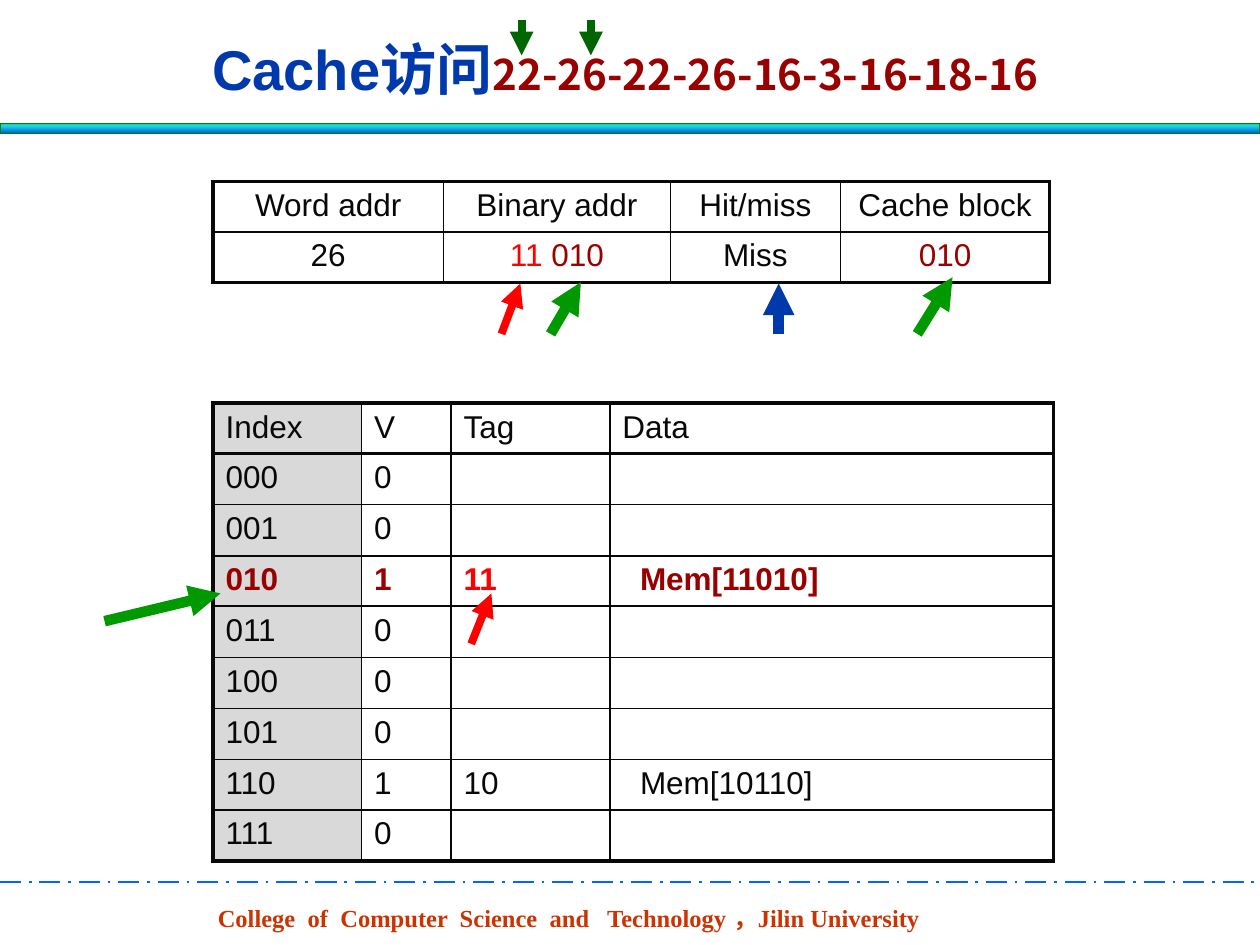
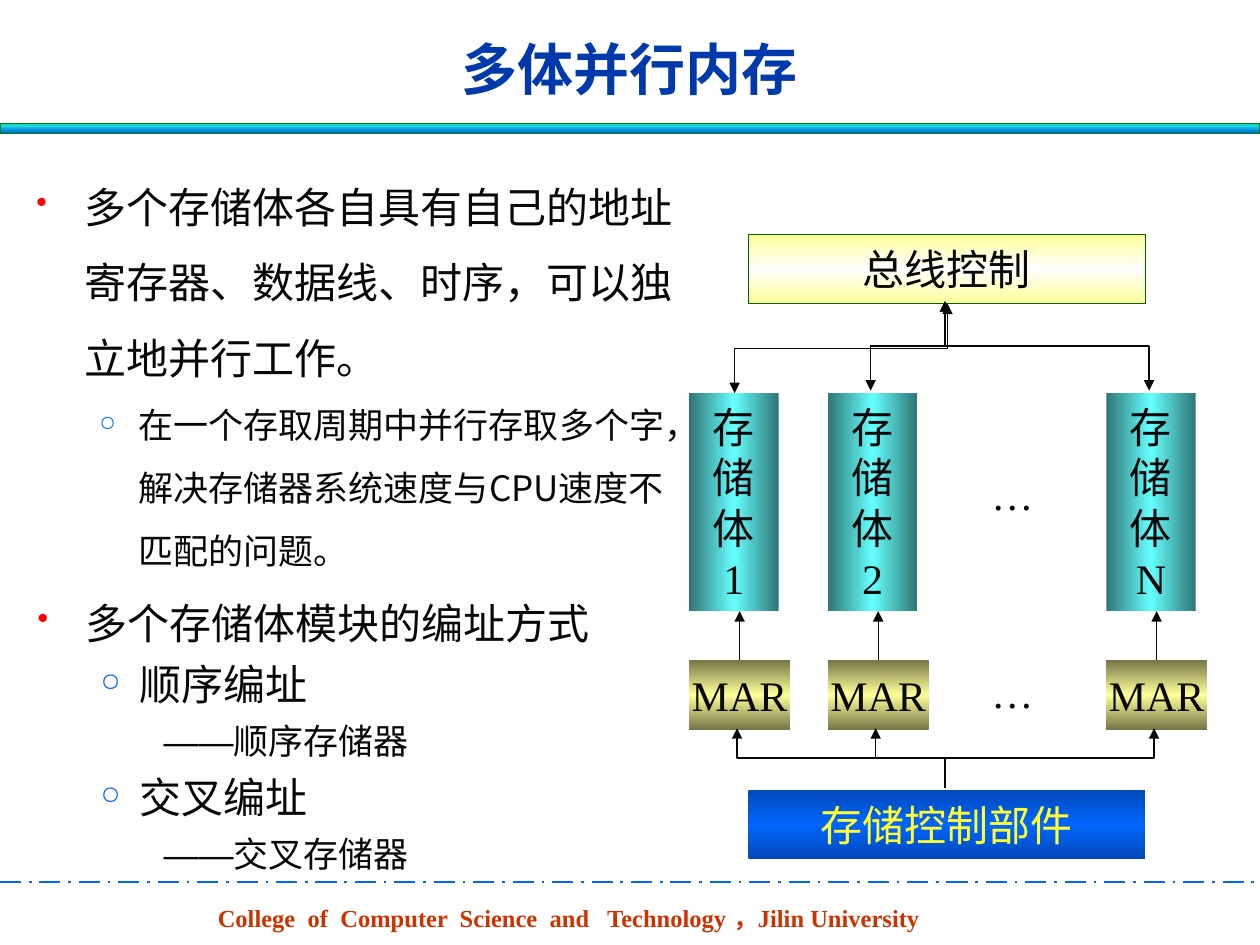
"""Builds two slides on cache access and parallel memory banks."""
import pptx
import pptx.util
import pptx.dml.color
import pptx.enum.dml
import pptx.enum.shapes
import pptx.enum.text
import pptx.oxml.ns
import lxml.etree


class Theme:
    black, blue, red, wine = "080808", "0039AC", "FF0000", "990000"
    green, dark, sky, rust = "009900", "006600", "0066FF", "CC3300"
    edge, grey, yellow = "008000", "D9D9D9", "FFFF33"
    band = ((0, "03D4A8"), (25, "21D6E0"), (75, "0087E6"), (100, "005CBF"))
    cream = ((0, "FFFF99"), (50, "FFFFFF"), (100, "FFFF99"))
    teal = ((0, "2F7676"), (50, "66FFFF"), (100, "2F7676"))
    olive = ((0, "767647"), (50, "FFFF99"), (100, "767647"))
    navy = ((0, "0049B6"), (50, "0066FF"), (100, "0049B6"))
    sans, serif, han = "Arial", "Times New Roman", "Noto Sans CJK SC"
    title, large, body, cell, foot = 32, 24, 20, 18, 14


SCALE = 9144
Pt = pptx.util.Pt
qn = pptx.oxml.ns.qn
rgb = pptx.dml.color.RGBColor.from_string
sub = lxml.etree.SubElement
Align = pptx.enum.text.PP_ALIGN
Kind = pptx.enum.shapes.MSO_CONNECTOR
RECT = pptx.enum.shapes.MSO_SHAPE.RECTANGLE
MIDDLE = pptx.enum.text.MSO_ANCHOR.MIDDLE
TAIL = ("a:tailEnd",)
BOTH = ("a:headEnd", "a:tailEnd")


def ink(run, size, face, color, bold=False):
    """Format one run, with a Chinese face where it holds Chinese text."""
    run.font.size, run.font.name, run.font.bold = Pt(size), face, bold
    run.font.color.rgb = rgb(color)
    east = Theme.han if any(sign >= "一" for sign in run.text) else face
    sub(run._r.get_or_add_rPr(), qn("a:ea"), typeface=east)


def wire(slide, ends, color, width, tips=TAIL, bent=False):
    """Draw a straight line, or an elbow that leaves upwards."""
    x1, y1, x2, y2 = (n * SCALE for n in ends)
    kind = Kind.STRAIGHT
    if bent:
        kind = Kind.ELBOW
        midx, midy = (x1 + x2) // 2, (y1 + y2) // 2
        wide, high = abs(x2 - x1) // 2, abs(y2 - y1) // 2
        right = x2 > x1
        x1, y1, x2, y2 = midx - high, midy - wide, midx + high, midy + wide
    line = slide.shapes.add_connector(kind, x1, y1, x2, y2)
    props = line.element.spPr
    if bent:
        frame = props.find(qn("a:xfrm"))
        frame.set("rot", str((270 if right else 90) * 60000))
        if not right:
            frame.set("flipH", "1")
    line.line.color.rgb = rgb(color)
    line.line.width = Pt(width)
    for tip in tips:
        sub(props.find(qn("a:ln")), qn(tip), type="triangle")
    sub(props, qn("a:effectLst"))
    return line


deck = pptx.Presentation()
deck.slide_width, deck.slide_height = 1000 * SCALE, 750 * SCALE
plan = deck.slide_layouts[5]
cache, banks = [deck.slides.add_slide(plan) for _ in range(2)]

heads = (
    (cache, (("Cache访问", Theme.title, Theme.sans, Theme.blue),
             ("22-26-22-26-16-3-16-18-16 ", Theme.large, Theme.han, Theme.wine))),
    (banks, (("多体并行内存", Theme.title, Theme.sans, Theme.blue),)),
)
for slide, parts in heads:
    title = slide.shapes.title
    title.left, title.top = 114 * SCALE, 21 * SCALE
    title.width, title.height = 772 * SCALE, 66 * SCALE
    frame = title.text_frame
    frame.auto_size = pptx.enum.text.MSO_AUTO_SIZE.NONE
    frame.vertical_anchor = MIDDLE
    para = frame.paragraphs[0]
    para.alignment = Align.CENTER
    for text, size, face, color in parts:
        run = para.add_run()
        run.text = text
        ink(run, size, face, color, True)

posts = (547, 657, 878)
boxes = [
    (cache, 0, 98, 1000, 8, Theme.band, 90, Theme.edge, "", Theme.black),
    (banks, 594, 186, 315, 55, Theme.cream, 90, Theme.dark, "总线控制", Theme.black),
    (banks, 594, 627, 315, 55, Theme.navy, 90, None, "存储控制部件", Theme.yellow),
]
for left, mark in zip(posts, "12N"):
    boxes.append((banks, left, 312, 71, 173, Theme.teal, 0, None,
                  "\n".join("存储体" + mark), Theme.black))
for left in posts:
    boxes.append((banks, left, 524, 80, 55, Theme.olive, 90, None, "MAR", Theme.black))

made = []
for slide, left, top, wide, high, stops, angle, edge, text, color in boxes:
    box = slide.shapes.add_shape(RECT, *(n * SCALE for n in (left, top, wide, high)))
    box.shadow.inherit = False
    box.fill.gradient()
    grad = box.element.spPr.find(qn("a:gradFill"))
    ramp = grad.find(qn("a:gsLst"))
    ramp.clear()
    for spot, tone in stops:
        stop = sub(ramp, qn("a:gs"), pos=str(spot * 1000))
        sub(stop, qn("a:srgbClr"), val=tone)
    grad.find(qn("a:lin")).set("ang", str(angle * 60000))
    if edge:
        box.line.color.rgb = rgb(edge)
        box.line.width = Pt(0.75)
    else:
        box.line.fill.background()
    frame = box.text_frame
    frame.word_wrap = False
    frame.vertical_anchor = MIDDLE
    frame.text = text
    for para in frame.paragraphs:
        para.alignment = Align.CENTER
        for run in para.runs:
            ink(run, Theme.large, Theme.serif, color)
    made.append(box)

rule = wire(cache, (0, 700, 1000, 700), Theme.sky, 1.5, ())
rule.line.dash_style = pptx.enum.dml.MSO_LINE.LONG_DASH_DOT

school = "College  of  Computer  Science  and   Technology ，Jilin University"
notes = (
    (cache, 163, 712, 592, 33, school, Theme.foot, Theme.rust, True, Align.LEFT),
    (banks, 760, 367, 87, 50, "…", Theme.large, Theme.black, False, Align.CENTER),
    (banks, 760, 524, 87, 50, "…", Theme.large, Theme.black, False, Align.CENTER),
)
labels = []
for slide, left, top, wide, high, text, size, color, bold, align in notes:
    note = slide.shapes.add_textbox(*(n * SCALE for n in (left, top, wide, high)))
    note.text_frame.word_wrap = True
    note.text_frame.text = text
    para = note.text_frame.paragraphs[0]
    para.alignment = align
    ink(para.runs[0], size, Theme.serif, color, bold)
    labels.append(note)

for part in (labels[0], rule, made[0]):
    plan.shapes.element.append(part.element)

store = [("Index", "V", "Tag", "Data")]
filled = {2: ("1", "11", "Mem[11010]"), 6: ("1", "10", "Mem[10110]")}
for slot in range(8):
    store.append((f"{slot:03b}",) + filled.get(slot, ("0", "", "")))
lookup = (("Word addr", "Binary addr", "Hit/miss", "Cache block"),
          ("26", "11 |010", "Miss", "010"))
grids = (
    (320, (118, 71, 126, 352), store, Align.LEFT, Theme.grey,
     {(3, 0): [Theme.wine], (3, 1): [Theme.wine],
      (3, 2): [Theme.red], (3, 3): [Theme.wine]}),
    (144, (183, 180, 135, 166), lookup, Align.CENTER, None,
     {(1, 1): [Theme.red, Theme.wine], (1, 3): [Theme.wine]}),
)
for top, cols, rows, align, shade, tints in grids:
    table = cache.shapes.add_table(
        len(rows), len(cols), 169 * SCALE, top * SCALE,
        sum(cols) * SCALE, 40 * len(rows) * SCALE).table
    table.first_row = table.horz_banding = False
    for col, wide in zip(table.columns, cols):
        col.width = wide * SCALE
    for r, row in enumerate(rows):
        table.rows[r].height = 40 * SCALE
        for c, text in enumerate(row):
            cell = table.cell(r, c)
            sides = {
                "a:lnL": 1 if c else 2.25,
                "a:lnR": 1 if c < len(cols) - 1 else 2.25,
                "a:lnT": {0: 2.25, 1: 1.5}.get(r, 1),
                "a:lnB": 2.25 if r == len(rows) - 1 else 1 if r else 1.5,
            }
            props = cell._tc.get_or_add_tcPr()
            for side, width in sides.items():
                line = sub(props, qn(side), w=str(int(Pt(width))))
                sub(sub(line, qn("a:solidFill")), qn("a:srgbClr"), val=Theme.black)
            if shade and c == 0:
                cell.fill.solid()
                cell.fill.fore_color.rgb = rgb(shade)
            else:
                cell.fill.background()
            if text.startswith("Mem"):
                cell.margin_left = 24 * SCALE
            first, *rest = text.split("|")
            para = cell.text_frame.paragraphs[0]
            para.text = first
            para.alignment = align
            for piece in rest:
                para.add_run().text = piece
            for run, tint in zip(para.runs, tints.get((r, c), [Theme.black])):
                ink(run, Theme.cell, Theme.sans, tint, row[0] == "010")

for ends, color, width in (
    ((83, 493, 175, 471), Theme.green, 6),
    ((728, 265, 756, 220), Theme.green, 6),
    ((437, 265, 461, 224), Theme.green, 6),
    ((618, 265, 618, 225), Theme.blue, 6),
    ((398, 265, 413, 225), Theme.red, 4.5),
    ((374, 511, 390, 471), Theme.red, 4.5),
    ((469, 16, 469, 44), Theme.dark, 4.5),
    ((414, 16, 414, 44), Theme.dark, 4.5),
):
    wire(cache, ends, color, width)

for ends in ((583, 312, 752, 241), (691, 310, 750, 239), (912, 310, 750, 239)):
    wire(banks, ends, Theme.black, 0.75, BOTH, True)
for left, box in zip(posts, made[-3:]):
    wire(banks, (750, 625, left + 38, 578), Theme.black, 0.75, TAIL, True)
    rise = wire(banks, (left + 40, 524, left + 40, 485), Theme.black, 0.75)
    rise.begin_connect(box, 0)

steps = (
    (38, -38, "•", Theme.red, 75),
    (81, -31, "○", Theme.sky, 60),
    (125, -25, None, None, None),
)
lists = (
    ((19, 119, 530, 264), 1.5, 0, (
        (0, Theme.large, "多个存储体各自具有自己的地址寄存器、数据线、时序，可以独立地并行工作。"),
        (1, Theme.body, "在一个存取周期中并行存取多个字，解决存储器系统速度与CPU速度不匹配的问题。"))),
    ((20, 469, 484, 228), None, 6, (
        (0, Theme.large, "多个存储体模块的编址方式"),
        (1, Theme.large, "顺序编址"),
        (2, Theme.body, "——|顺序存储器"),
        (1, Theme.large, "交叉编址"),
        (2, Theme.body, "——|交叉存储器"))),
)
for place, space, gap, items in lists:
    frame = banks.shapes.add_textbox(*(n * SCALE for n in place)).text_frame
    frame.word_wrap = True
    for i, (level, size, text) in enumerate(items):
        para = frame.add_paragraph() if i else frame.paragraphs[0]
        first, *rest = text.split("|")
        para.text = first
        for piece in rest:
            para.add_run().text = piece
        para.level = level
        margin, hang, sign, tone, share = steps[level]
        props = para._p.get_or_add_pPr()
        props.set("marL", str(margin * SCALE))
        props.set("indent", str(hang * SCALE))
        if sign:
            sub(sub(props, qn("a:buClr")), qn("a:srgbClr"), val=tone)
            sub(props, qn("a:buSzPct"), val=str(share * 1000))
            sub(props, qn("a:buChar"), char=sign)
        if space:
            para.line_spacing = space
        if i and gap:
            para.space_before = Pt(gap)
        for run in para.runs:
            ink(run, size, Theme.sans if run.text == "——" else Theme.han, Theme.black)

deck.save("out.pptx")
